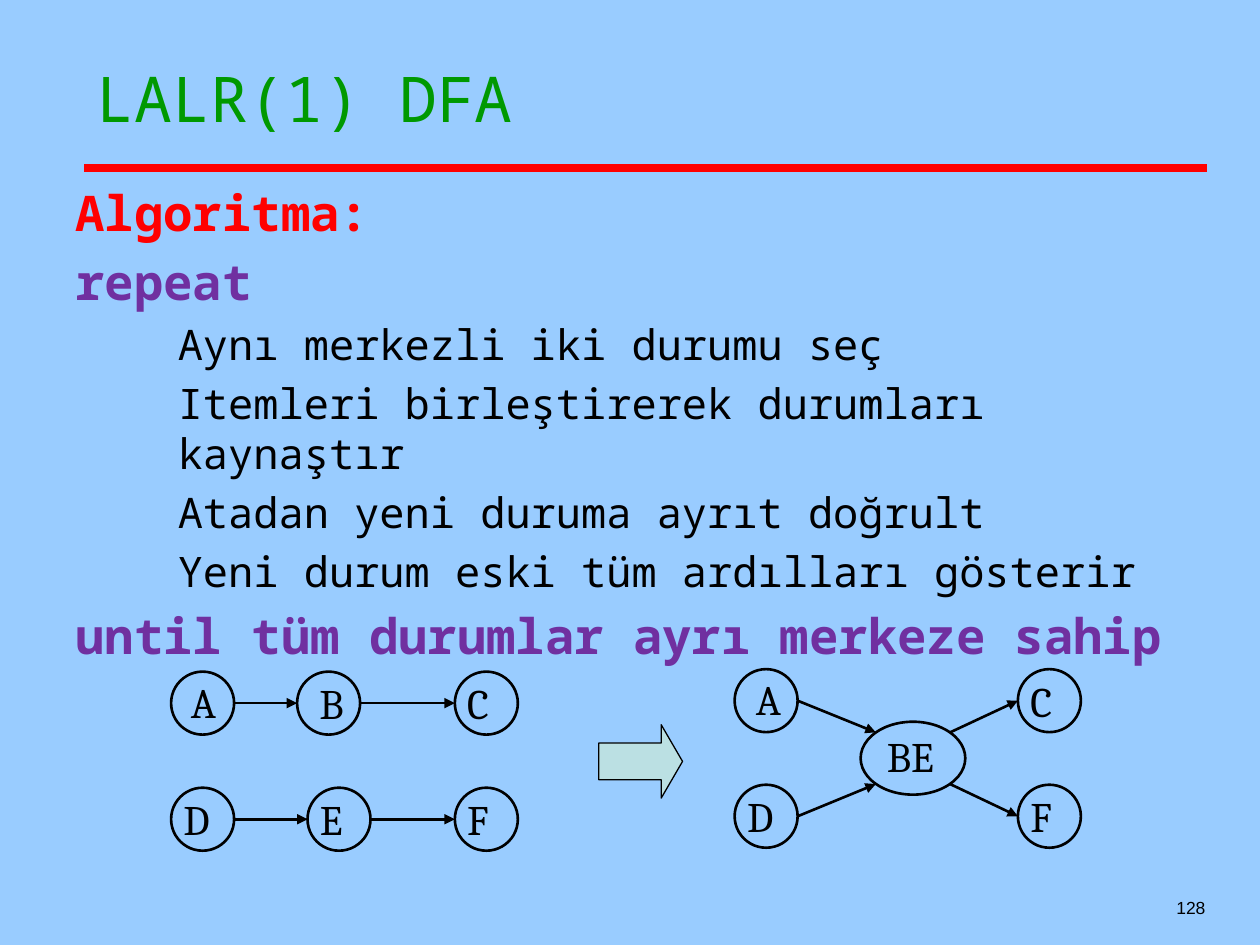
from dataclasses import dataclass
from lxml import etree
from pptx import Presentation
from pptx.dml.color import RGBColor
from pptx.enum.shapes import MSO_CONNECTOR, MSO_SHAPE
from pptx.enum.text import MSO_ANCHOR, MSO_AUTO_SIZE, PP_ALIGN
from pptx.oxml.ns import qn
from pptx.util import Cm, Pt

STRAIGHT = MSO_CONNECTOR.STRAIGHT
ELLIPSE, RIGHT_ARROW = MSO_SHAPE.OVAL, MSO_SHAPE.RIGHT_ARROW
TOP, BOTTOM = MSO_ANCHOR.TOP, MSO_ANCHOR.BOTTOM
NO_FIT, FIT_SHAPE = MSO_AUTO_SIZE.NONE, MSO_AUTO_SIZE.SHAPE_TO_FIT_TEXT
LEFT, RIGHT = PP_ALIGN.LEFT, PP_ALIGN.RIGHT

SKY = RGBColor(0x99, 0xCC, 0xFF)
BLACK = RGBColor(0, 0, 0)
RED = RGBColor(0xFF, 0, 0)
GREEN = RGBColor(0, 0x99, 0)
PURPLE = RGBColor(0x70, 0x30, 0xA0)
PALE = RGBColor(0xBB, 0xE0, 0xE3)
MONO, SERIF, SANS = "Noto Sans Mono", "Cambria", "Arial"

SIZE = 1.27                 # diameter of a state, cm
DIAGONAL = 0.71             # cosine of 45 degrees
LABEL_WIDTHS = {"A": 1.09, "B": 1.09, "C": 1.09, "D": 1.17,
                "E": 1.04, "F": 0.99, "BE": 1.63}


@dataclass
class State:
    """A state of the automaton; lengths in cm."""
    name: str
    x: float
    y: float
    w: float = SIZE
    h: float = SIZE
    dx: float = 0           # label offset
    dy: float = 0

    def edge(self, ux: float, uy: float) -> tuple[float, float]:
        """Point of the outline in the direction (ux, uy)."""
        return (self.x + self.w / 2 * (1 + ux),
                self.y + self.h / 2 * (1 + uy))


@dataclass
class Line:
    text: str
    color: RGBColor
    level: int = 0


def set_font(p, name: str, size: float, color: RGBColor, bold: bool = False) -> None:
    for r in p.runs:
        r.font.name, r.font.size, r.font.bold = name, Pt(size), bold
        r.font.color.rgb = color


def add_line(shapes, start, end, color: RGBColor, width: float, arrow: bool = False):
    cxn = shapes.add_connector(STRAIGHT, *(Cm(v) for v in (*start, *end)))
    cxn.line.color.rgb, cxn.line.width = color, Pt(width)
    if arrow:
        etree.SubElement(cxn.line._get_or_add_ln(), qn("a:tailEnd"), type="triangle")
    etree.SubElement(cxn._element.spPr, qn("a:effectLst"))


def add_preset(shapes, kind, x: float, y: float, w: float, h: float, width: float):
    sp = shapes.add_shape(kind, Cm(x), Cm(y), Cm(w), Cm(h))
    sp.shadow.inherit = False
    sp.fill.background()
    sp.line.color.rgb, sp.line.width = BLACK, Pt(width)
    return sp


def add_state(shapes, st: State) -> None:
    add_preset(shapes, ELLIPSE, st.x, st.y, st.w, st.h, 1.5)
    tb = shapes.add_textbox(Cm(st.x + st.dx), Cm(st.y + st.dy),
                            Cm(LABEL_WIDTHS[st.name]), Cm(SIZE))
    tf = tb.text_frame
    tf.text, tf.word_wrap, tf.auto_size = st.name, False, FIT_SHAPE
    set_font(tf.paragraphs[0], SERIF, 24, BLACK)


def add_automaton(shapes, states: list[State], arrows) -> None:
    group = shapes.add_group_shape().shapes
    for st in states:
        add_state(group, st)
    for start, end in arrows:
        add_line(group, start, end, BLACK, 1.5, arrow=True)


prs = Presentation()
prs.slide_width, prs.slide_height = Cm(25.4), Cm(19.05)
s = prs.slides.add_slide(prs.slide_layouts[1])
s.background.fill.solid()
s.background.fill.fore_color.rgb = SKY

# Title and rule
add_line(s.shapes, (1.7, 3.38), (24.34, 3.38), RED, 4.5)
title = s.shapes.title
title.left, title.top, title.width, title.height = Cm(1.7), Cm(1.07), Cm(22.65), Cm(3.17)
tf = title.text_frame
tf.text, tf.vertical_anchor, tf.auto_size = "LALR(1) DFA", TOP, NO_FIT
tf.paragraphs[0].alignment = LEFT
set_font(tf.paragraphs[0], MONO, 36, GREEN)

# Algorithm
lines = [
    Line("Algoritma:", RED),
    Line("repeat", PURPLE),
    Line("Aynı merkezli iki durumu seç", BLACK, 1),
    Line("Itemleri birleştirerek durumları kaynaştır", BLACK, 1),
    Line("Atadan yeni duruma ayrıt doğrult", BLACK, 1),
    Line("Yeni durum eski tüm ardılları gösterir", BLACK, 1),
    Line("until tüm durumlar ayrı merkeze sahip", PURPLE),
]
body = s.placeholders[1]
body.left, body.top, body.width, body.height = Cm(1.27), Cm(3.56), Cm(23.29), Cm(9.58)
tf = body.text_frame
tf.auto_size, tf.vertical_anchor = NO_FIT, TOP
for i, line in enumerate(lines):
    p = tf.paragraphs[0] if i == 0 else tf.add_paragraph()
    p.text, p.level = line.text, line.level
    size = 24 if line.level else 28
    p.space_before = Pt(size * 0.2 if i else 0)
    pPr = p._p.get_or_add_pPr()
    pPr.set("marL", str(Cm(2.06) if line.level else 0))
    pPr.set("indent", "0")
    etree.SubElement(pPr, qn("a:buNone"))
    set_font(p, MONO, size, line.color, bold=line.level == 0)

# States before merging: two chains
a, b, c = State("A", 3.45, 13.54, dx=0.15, dy=-0.03), State("B", 5.99, 13.54, dx=0.2), State("C", 9.17, 13.54)
d, e, f = State("D", 3.45, 15.88), State("E", 6.2, 15.88), State("F", 9.17, 15.88)
add_automaton(s.shapes, [a, b, c, d, e, f],
              [(u.edge(1, 0), v.edge(-1, 0)) for u, v in ((a, b), (b, c), (d, e), (e, f))])

# States after merging B and E
a, c = State("A", 14.81, 13.49, dx=0.18, dy=-0.03), State("C", 20.52, 13.49)
d, f = State("D", 14.81, 15.82), State("F", 20.52, 15.82)
be = State("BE", 17.35, 14.55, 2.11, 1.47, 0.28, 0.05)
add_automaton(s.shapes, [a, c, d, f, be],
              [(u.edge(1, 0), be.edge(-DIAGONAL, side * DIAGONAL)) for u, side in ((a, -1), (d, 1))]
              + [(be.edge(DIAGONAL, side * DIAGONAL), v.edge(-1, 0)) for v, side in ((c, -1), (f, 1))])

# Block arrow between the automata
block = add_preset(s.shapes, RIGHT_ARROW, 12.07, 14.61, 1.69, 1.48, 0.75)
block.adjustments[0], block.adjustments[1] = 0.5, 0.29
block.fill.solid()
block.fill.fore_color.rgb = PALE

# Page number
tf = s.shapes.add_textbox(Cm(19.26), Cm(17.36), Cm(5.29), Cm(1.27)).text_frame
tf.text, tf.word_wrap, tf.vertical_anchor = "128", True, BOTTOM
tf.paragraphs[0].alignment = RIGHT
set_font(tf.paragraphs[0], SANS, 10, BLACK)

prs.save("out.pptx")
